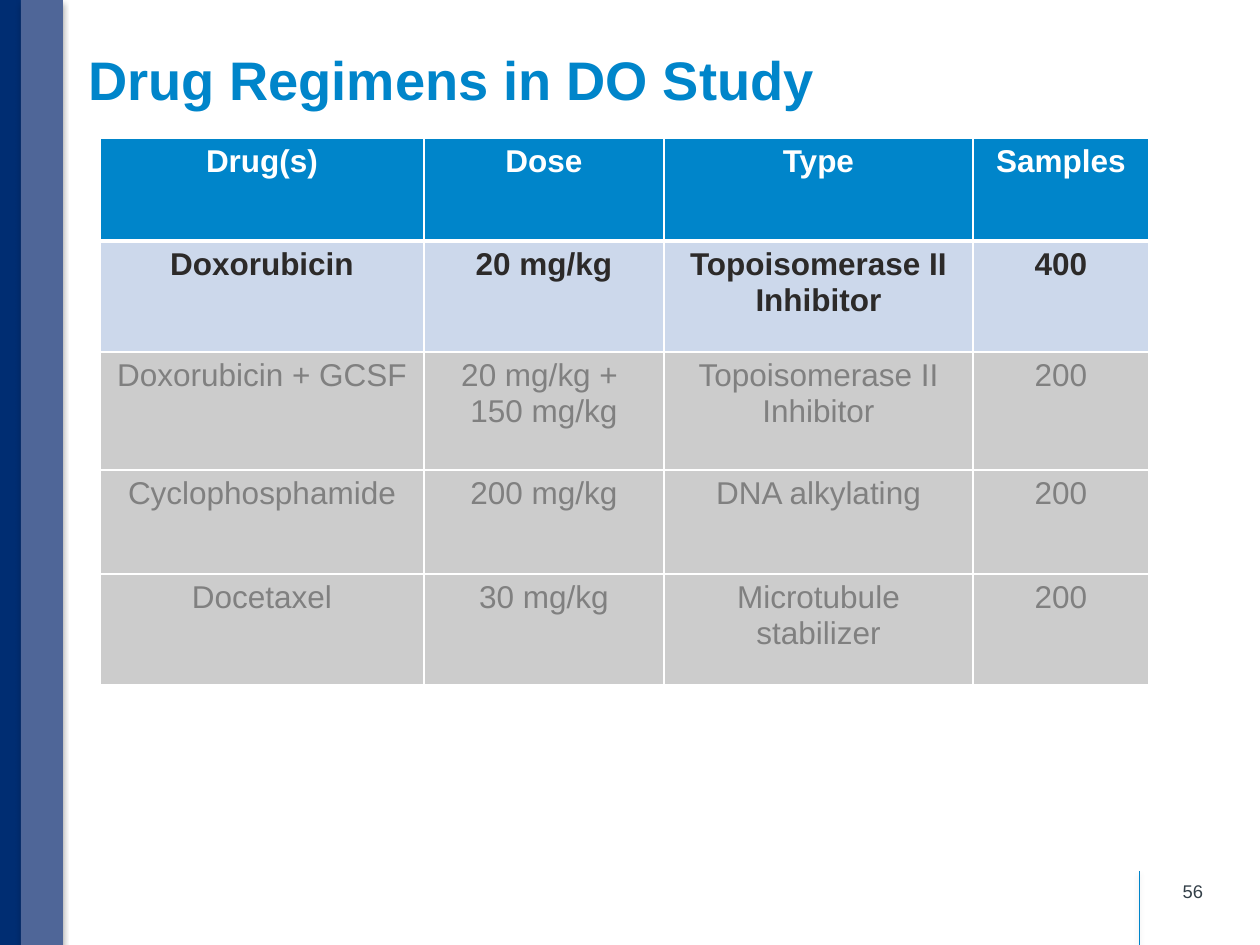
"""Build the drug regimens slide."""
from lxml.etree import SubElement
from pptx import Presentation
from pptx.dml.color import RGBColor
from pptx.enum.shapes import MSO_CONNECTOR, MSO_SHAPE
from pptx.enum.text import MSO_ANCHOR, MSO_AUTO_SIZE, PP_ALIGN
from pptx.oxml import parse_xml
from pptx.oxml.ns import nsdecls, qn
from pptx.util import Pt

PX = 914400 / 126
COLORS = {
    "blue": "0085CA", "navy": "002D72", "slate": "4F6698", "white": "FFFFFF",
    "ink": "2C2A29", "number": "333F48", "pale": "CCD8EB",
    "grey": "CCCCCC", "muted": "808080",
}
ROWS = [
    ["Drug(s)", "Dose", "Type", "Samples"],
    ["Doxorubicin", "20 mg/kg", "Topoisomerase II Inhibitor", "400"],
    ["Doxorubicin + GCSF", "20 mg/kg + \n150 mg/kg", "Topoisomerase II Inhibitor", "200"],
    ["Cyclophosphamide", "200 mg/kg", "DNA alkylating", "200"],
    ["Docetaxel", "30 mg/kg", "Microtubule stabilizer", "200"],
]
ROW_STYLES = [("blue", "white", True), ("pale", "ink", True)] + [("grey", "muted", False)] * 3
COL_WIDTHS = [324, 240, 309, 176]
ROW_HEIGHTS = [103, 111, 118, 104, 111]


def px(*lengths):
    return [round(n * PX) for n in lengths]


def rgb(name):
    return RGBColor.from_string(COLORS[name])


class Deck:
    """Slide builder with one font and palette."""

    font = "Arial"

    def __init__(self, prs):
        self.s = prs.slides.add_slide(prs.slide_layouts[5])

    def shadow(self, sp, alpha, dist):
        sp._element.spPr.append(parse_xml(
            f'<a:effectLst {nsdecls("a")}><a:outerShdw blurRad="39370" dist="{round(dist * 12700)}" '
            f'dir="5400000" rotWithShape="0"><a:srgbClr val="000000">'
            f'<a:alpha val="{alpha * 1000}"/></a:srgbClr></a:outerShdw></a:effectLst>'))

    def set_text(self, tf, text, size, color, align, bold=False):
        tf.text = text
        for p in tf.paragraphs:
            p.alignment = align
            p.font.name, p.font.size, p.font.bold = self.font, Pt(size), bold
            p.font.color.rgb = rgb(color)

    def frame(self, tf, anchor, insets):
        tf.word_wrap = True
        tf.auto_size = MSO_AUTO_SIZE.NONE
        tf.vertical_anchor = anchor
        tf.margin_left, tf.margin_top, tf.margin_right, tf.margin_bottom = px(*insets)

    def bar(self, box, color):
        sp = self.s.shapes.add_shape(MSO_SHAPE.RECTANGLE, *px(*box))
        sp.fill.solid()
        sp.fill.fore_color.rgb = rgb(color)
        sp.line.fill.background()
        self.shadow(sp, 35, 1.8)

    def line(self, ends, color, width):
        cn = self.s.shapes.add_connector(MSO_CONNECTOR.STRAIGHT, *px(*ends))
        cn.line.color.rgb = rgb(color)
        cn.line.width = Pt(width)
        self.shadow(cn, 38, 1.6)

    def title(self, box, text):
        sp = self.s.shapes.title
        sp.left, sp.top, sp.width, sp.height = px(*box)
        self.frame(sp.text_frame, MSO_ANCHOR.BOTTOM, (0, 5, 10, 5))
        self.set_text(sp.text_frame, text, 31, "blue", PP_ALIGN.LEFT, True)

    def text(self, box, text, size, color, align):
        tf = self.s.shapes.add_textbox(*px(*box)).text_frame
        self.frame(tf, MSO_ANCHOR.MIDDLE, (13, 6, 13, 6))
        self.set_text(tf, text, size, color, align)

    def borders(self, cell, row):
        tcPr = cell._tc.get_or_add_tcPr()
        thick = {0: "lnB", 1: "lnT"}.get(row)
        for i, side in enumerate(("lnL", "lnR", "lnT", "lnB")):
            ln = SubElement(tcPr, qn(f"a:{side}"), w=str(int(Pt(3 if side == thick else 0.96))))
            fill = SubElement(ln, qn("a:solidFill"))
            SubElement(fill, qn("a:srgbClr"), val=COLORS["white"])
            tcPr.insert(i, ln)

    def table(self, left, top, rows, widths, heights, styles):
        box = px(left, top, sum(widths), sum(heights))
        tbl = self.s.shapes.add_table(len(rows), len(widths), *box).table
        for col, width in zip(tbl.columns, px(*widths)):
            col.width = width
        for row, height in zip(tbl.rows, px(*heights)):
            row.height = height
        for r, (values, (fill, color, bold)) in enumerate(zip(rows, styles)):
            for c, value in enumerate(values):
                cell = tbl.cell(r, c)
                self.set_text(cell.text_frame, value, 18, color, PP_ALIGN.CENTER, bold)
                cell.fill.solid()
                cell.fill.fore_color.rgb = rgb(fill)
                self.borders(cell, r)


def main():
    prs = Presentation()
    prs.slide_width, prs.slide_height = px(1260, 945)
    deck = Deck(prs)
    deck.line((1139, 871, 1139, 945), "blue", 0.25)
    deck.bar((0, 0, 21, 945), "navy")
    deck.bar((21, 0, 42, 945), "slate")
    deck.text((922, 866, 294, 50), "56", 10.5, "number", PP_ALIGN.RIGHT)
    deck.title((88, 38, 1138, 78), "Drug Regimens in DO Study")
    deck.table(100, 138, ROWS, COL_WIDTHS, ROW_HEIGHTS, ROW_STYLES)
    prs.save("out.pptx")


if __name__ == "__main__":
    main()
